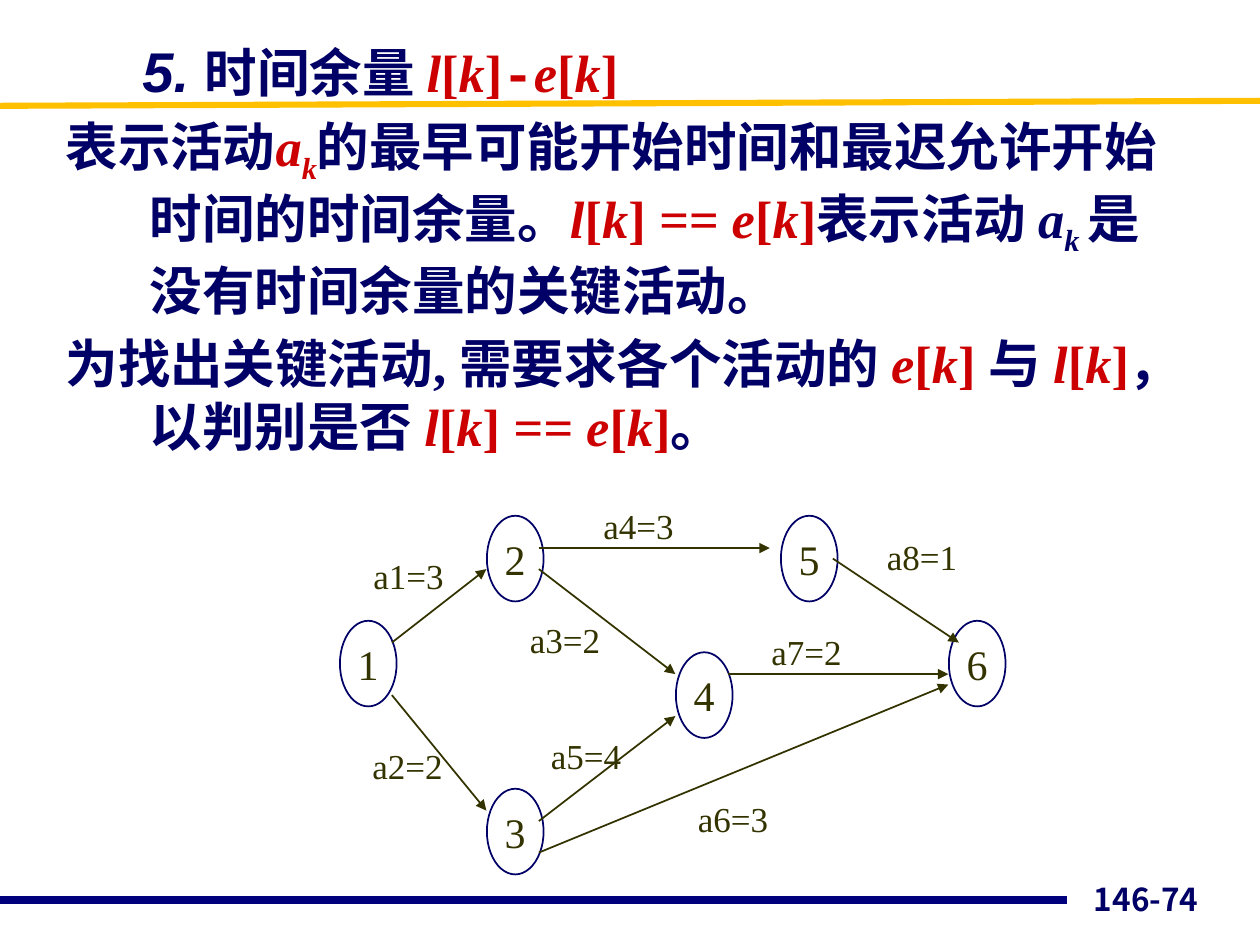
from itertools import groupby

from lxml.etree import SubElement
from pptx import Presentation
from pptx.dml.color import RGBColor
from pptx.enum.shapes import MSO_CONNECTOR, MSO_SHAPE
from pptx.enum.text import MSO_ANCHOR as Anchor, MSO_AUTO_SIZE as AutoSize, PP_ALIGN as Align
from pptx.oxml.ns import qn
from pptx.util import Inches, Pt

COLOURS = {"navy": "000066", "footer": "00007D", "gold": "FFC000",
           "red": "CC0000", "olive": "333300"}
SERIF = "Times New Roman"


def add_text(paragraph, text, size=30, font=SERIF, colour="navy",
             bold=True, italic=False, baseline=0):
    run = paragraph.add_run()
    run.text = text
    run.font.size, run.font.name = Pt(size), font
    run.font.bold, run.font.italic = bold, italic
    run.font.color.rgb = RGBColor.from_string(COLOURS[colour])
    if baseline:
        run.font._element.set("baseline", str(baseline * 1000))


def add_line(start, end, colour, width, arrow=False):
    line = slide.shapes.add_connector(
        MSO_CONNECTOR.STRAIGHT, *(Inches(value) for value in (*start, *end)))
    line.line.color.rgb = RGBColor.from_string(COLOURS[colour])
    line.line.width = Pt(width)
    if arrow:
        SubElement(line.line._get_or_add_ln(), qn("a:tailEnd"), type="triangle")
    SubElement(line._element.spPr, qn("a:effectLst"))


presentation = Presentation()
presentation.slide_width, presentation.slide_height = Inches(10), Inches(7.5)
slide = presentation.slides.add_slide(presentation.slide_layouts[1])
title = slide.shapes.title
title._element.getparent().remove(title._element)

# Rules and page number
add_line((0, 7.14), (8.47, 7.14), "footer", 4.5)
add_line((0, 0.84), (10, 0.8), "gold", 3.5)
page_box = slide.shapes.add_textbox(Inches(7.28), Inches(6.83), Inches(2.33), Inches(0.5))
page_box.text_frame.word_wrap = True
page_box.text_frame.vertical_anchor = Anchor.BOTTOM
page_paragraph = page_box.text_frame.paragraphs[0]
page_paragraph.alignment = Align.RIGHT
add_text(page_paragraph, "146-74", size=18, font="Noto Sans CJK JP")

# Body: each part is a kind and its text; brackets in a formula stay upright
paragraphs = [
    [("number", "5. "), ("plain", "时间余量 "), ("formula", "l[k]"), ("minus", "-"),
     ("formula", "e[k]")],
    [("plain", "表示活动"), ("formula", "a"), ("red sub", "k"),
     ("plain", "的最早可能开始时间和最迟允许开始时间的时间余量。"),
     ("formula", "l[k] == e[k]"), ("plain", "表示活动 "), ("variable", "a"),
     ("navy sub", "k "), ("plain", "是没有时间余量的关键活动。")],
    [("plain", "为找出关键活动, 需要求各个活动的 "), ("formula", "e[k] "), ("plain", "与 "),
     ("formula", "l[k]"), ("plain", "，以判别是否 "), ("formula", "l[k] == e[k]"),
     ("plain", "。")],
]
formats = {
    "number": dict(size=32, font="Arial", italic=True),
    "plain": {},
    "minus": dict(font="Courier New", colour="red"),
    "variable": dict(italic=True),
    "red sub": dict(colour="red", italic=True, baseline=-25),
    "navy sub": dict(italic=True, baseline=-25),
}
body = slide.placeholders[1]
body.left, body.top, body.width, body.height = map(Inches, (0.42, 0.24, 9.08, 6.47))
frame = body.text_frame
frame.auto_size = AutoSize.NONE
for index, parts in enumerate(paragraphs):
    paragraph = frame.add_paragraph() if index else frame.paragraphs[0]
    paragraph.space_before = Pt(6)
    properties = paragraph._p.get_or_add_pPr()
    margin, indent = (0.67, -0.67) if index else (0.61, 0)
    properties.set("marL", str(Inches(margin)))
    properties.set("indent", str(Inches(indent)))
    SubElement(properties, qn("a:buNone"))
    for kind, text in parts:
        if kind == "formula":
            for upright, letters in groupby(text, lambda letter: letter in "[]"):
                add_text(paragraph, "".join(letters), colour="red", italic=not upright)
        else:
            add_text(paragraph, text, **formats[kind])

# Activity network on a grid of twelve cells to the inch
CELL, GRID_LEFT, GRID_TOP = 1 / 12, 3.11, 4.35
NODE_WIDTH, NODE_HEIGHT = 0.45, 0.68
LABEL_WIDTH, LABEL_HEIGHT = 0.77, 0.43
nodes = [(-2.25, 11), (11.75, 1), (11.75, 27), (29.75, 14), (39.75, 1), (55.75, 11)]
edges = [((0, 9), (9, 2)), ((0, 14), (9, 25)), ((14, 0), (36, 0)), ((14, 2), (27, 12)),
         ((14, 26), (27, 16)), ((14, 29), (53, 13)), ((32, 12), (53, 12)),
         ((42, 1), (54, 9))]
labels = {"a1=3": (1.6, 2.6), "a2=2": (1.5, 20.7), "a3=2": (16.5, 8.7),
          "a4=3": (23.5, -2.2), "a5=4": (18.5, 19.7), "a6=3": (32.5, 25.7),
          "a7=2": (39.5, 9.8), "a8=1": (50.5, 0.8)}

for number, (column, row) in enumerate(nodes, start=1):
    node = slide.shapes.add_shape(
        MSO_SHAPE.OVAL,
        Inches(GRID_LEFT + column * CELL - NODE_WIDTH / 2),
        Inches(GRID_TOP + row * CELL - NODE_HEIGHT / 2),
        Inches(NODE_WIDTH), Inches(NODE_HEIGHT))
    node.shadow.inherit = False
    node.fill.background()
    node.line.color.rgb = RGBColor.from_string(COLOURS["navy"])
    node.line.width = Pt(1)
    node.text_frame.word_wrap = False
    node.text_frame.vertical_anchor = Anchor.MIDDLE
    paragraph = node.text_frame.paragraphs[0]
    paragraph.alignment = Align.CENTER
    add_text(paragraph, str(number), size=24, colour="olive", bold=False)

for edge in edges:
    start, end = ((GRID_LEFT + column * CELL, GRID_TOP + row * CELL) for column, row in edge)
    add_line(start, end, "olive", 1, arrow=True)

for text, (column, row) in labels.items():
    label = slide.shapes.add_textbox(
        Inches(GRID_LEFT + column * CELL - LABEL_WIDTH / 2),
        Inches(GRID_TOP + row * CELL - LABEL_HEIGHT / 2),
        Inches(LABEL_WIDTH), Inches(LABEL_HEIGHT))
    label.text_frame.word_wrap = False
    paragraph = label.text_frame.paragraphs[0]
    paragraph.alignment = Align.CENTER
    add_text(paragraph, text, size=20, colour="olive", bold=False)

presentation.save("out.pptx")
